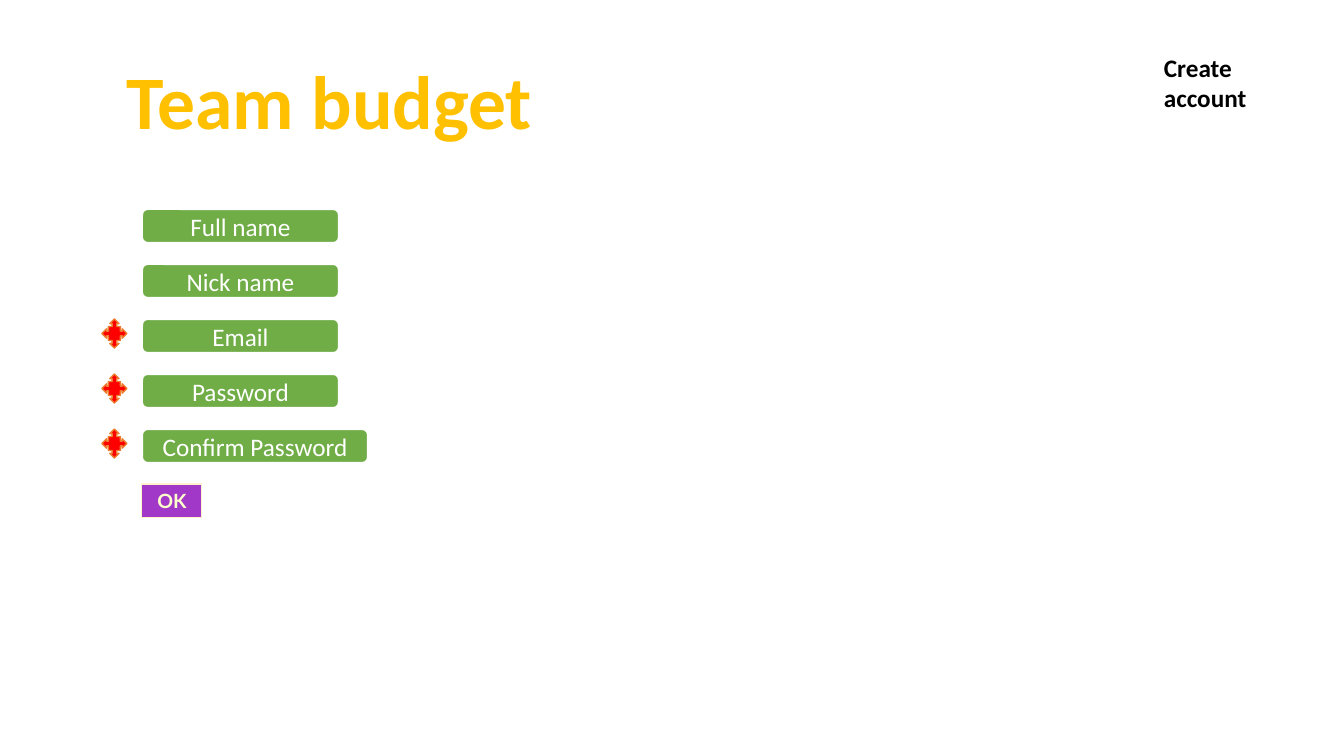
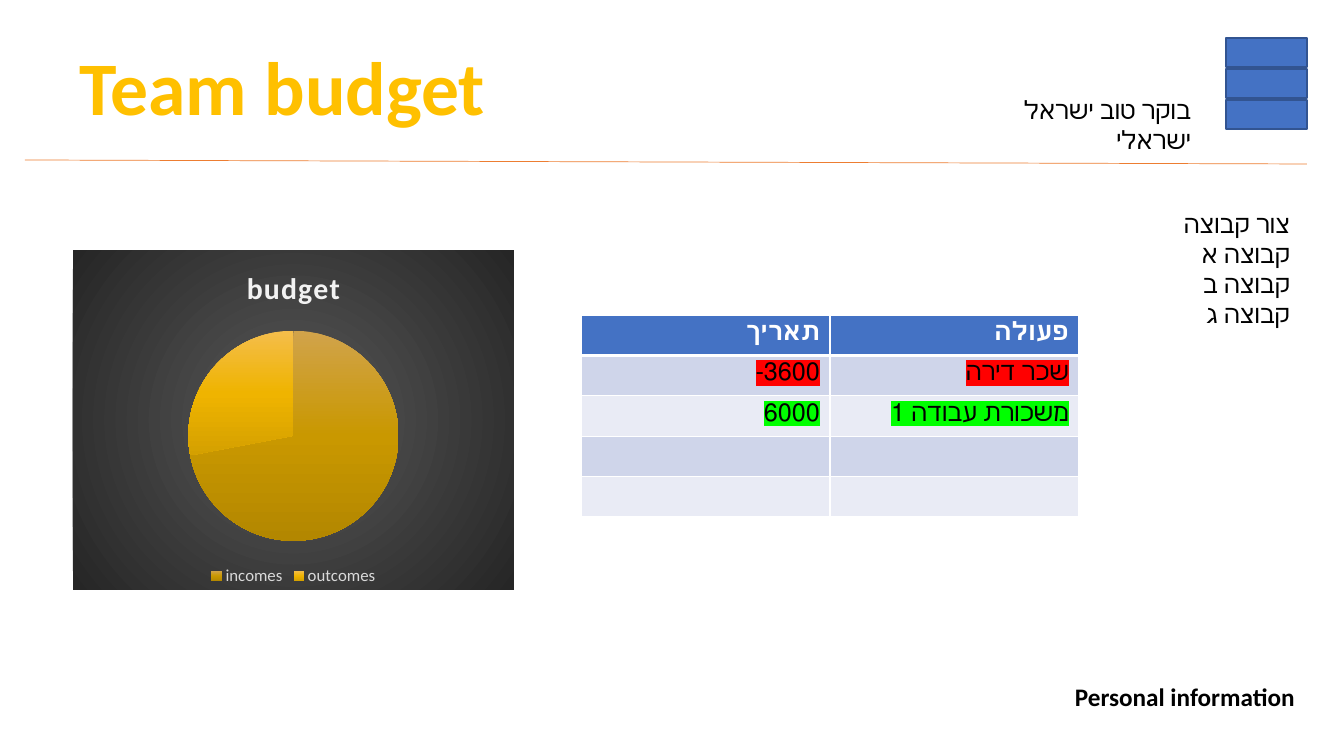
import pptx
import pptx.util
import pptx.dml.color
import pptx.chart.data
import pptx.enum.chart
import pptx.enum.shapes
import pptx.enum.text
import pptx.oxml
import pptx.oxml.ns
from dataclasses import dataclass

Pt = pptx.util.Pt
Kind = pptx.enum.shapes.MSO_SHAPE
Align = pptx.enum.text.PP_ALIGN
Anchor = pptx.enum.text.MSO_ANCHOR
Fit = pptx.enum.text.MSO_AUTO_SIZE
Legend = pptx.enum.chart.XL_LEGEND_POSITION
qn = pptx.oxml.ns.qn
NS = pptx.oxml.ns.nsdecls("a", "c")
SCALE = 914400 / 100.8


@dataclass(frozen=True)
class Theme:
    font: str = "Calibri"
    accent: str = "Lato"
    head: int = 54
    body: int = 18
    small: int = 14
    key: int = 12
    label: float = 21.3
    black: str = "000000"
    white: str = "FFFFFF"
    gold: str = "FFC000"
    green: str = "70AD47"
    red: str = "FF0000"
    lime: str = "00FF00"
    orange: str = "ED7D31"
    purple: str = "A238C8"
    cream: str = "FFF2CC"
    pale: str = "FFFFCC"
    blue: str = "4472C4"
    navy: str = "325491"
    band: tuple = ("CFD5EA", "E9EBF5")
    light: str = "F2F2F2"
    grey: str = "D9D9D9"
    dark: tuple = ("595959", "262626")
    slices: tuple = (("D1A34B", "C99800", "B38700"),
                     ("F4BD4B", "EFB400", "D4A000"))


def px(num):
    return round(num * SCALE)


def rgb(code):
    return pptx.dml.color.RGBColor.from_string(code)


def dress(obj, vals):
    for name, val in vals.items():
        setattr(obj, name, val)


def node(xml):
    return pptx.oxml.parse_xml(xml)


def blend(codes, tail):
    """Gradient fill with evenly spaced stops."""
    step = 100000 // (len(codes) - 1)
    stops = "".join(f'<a:gs pos="{i * step}"><a:srgbClr val="{code}"/></a:gs>'
                    for i, code in enumerate(codes))
    return node(f'<a:gradFill {NS}><a:gsLst>{stops}</a:gsLst>{tail}</a:gradFill>')


class Deck:
    def __init__(self, theme):
        self.theme = theme
        self.prs = pptx.Presentation()
        dress(self.prs, {"slide_width": px(1344), "slide_height": px(756)})

    def page(self):
        self.slide = self.prs.slides.add_slide(self.prs.slide_layouts[6])

    def style(self, font, size, color, bold=False, face=None):
        dress(font, {"name": face or self.theme.font, "size": Pt(size), "bold": bold})
        font.color.rgb = rgb(color)

    def put(self, frame, text, size=None, color=None, bold=False, face=None,
            align=Align.RIGHT, rtl=True, mark=None):
        for i, line in enumerate(text.split("\n")):
            para = frame.add_paragraph() if i else frame.paragraphs[0]
            para.alignment = align
            if rtl:
                para._p.get_or_add_pPr().set("rtl", "1")
            run = para.add_run()
            run.text = line
            self.style(run.font, size or self.theme.body,
                       color or self.theme.black, bold, face)
            if mark:
                run._r.rPr.find(qn("a:latin")).addprevious(node(
                    f'<a:highlight {NS}><a:srgbClr val="{mark}"/></a:highlight>'))

    def text(self, box, text, wrap=True, **form):
        frame = self.slide.shapes.add_textbox(*map(px, box)).text_frame
        dress(frame, {"word_wrap": wrap, "auto_size": Fit.SHAPE_TO_FIT_TEXT})
        self.put(frame, text, **form)

    def title(self, left, top):
        self.text((left, top, 429, 102), "Team budget", wrap=False, bold=True,
                  size=self.theme.head, color=self.theme.gold, align=Align.CENTER)

    def shape(self, kind, box, fill, line, width=1, text=None, adjust=(), **form):
        item = self.slide.shapes.add_shape(kind, *map(px, box))
        item.shadow.inherit = False
        item.fill.solid()
        item.fill.fore_color.rgb = rgb(fill)
        item.line.color.rgb = rgb(line)
        item.line.width = Pt(width)
        for i, val in enumerate(adjust):
            item.adjustments[i] = val
        if text:
            item.text_frame.vertical_anchor = Anchor.MIDDLE
            self.put(item.text_frame, text, align=Align.CENTER, **form)

    def line(self, ends, color, width):
        item = self.slide.shapes.add_connector(
            pptx.enum.shapes.MSO_CONNECTOR.STRAIGHT, *map(px, ends))
        item.line.color.rgb = rgb(color)
        item.line.width = Pt(width)
        item._element.spPr.append(node(f"<a:effectLst {NS}/>"))

    def pie(self, box, name, vals):
        t = self.theme
        data = pptx.chart.data.CategoryChartData()
        data.categories = list(vals)
        data.add_series(name, list(vals.values()))
        chart = self.slide.shapes.add_chart(
            pptx.enum.chart.XL_CHART_TYPE.PIE, *map(px, box), data).chart
        self.style(chart.font, 10, t.black)
        # Title and legend
        dress(chart, {"has_title": True, "has_legend": True})
        self.put(chart.chart_title.text_frame, name, t.label, t.light, True,
                 align=Align.CENTER, rtl=False)
        run = chart.chart_title.text_frame.paragraphs[0].runs[0]
        run._r.rPr.set("spc", "100")
        dress(chart.legend, {"position": Legend.BOTTOM, "include_in_layout": False})
        self.style(chart.legend.font, t.key, t.grey)
        # Backdrop and slices
        back = node(f"<c:spPr {NS}/>")
        back.append(blend(t.dark, '<a:path path="circle"><a:fillToRect l="50000" '
                          't="50000" r="50000" b="50000"/></a:path>'))
        back.append(node(f"<a:ln {NS}><a:noFill/></a:ln>"))
        chart._chartSpace.find(qn("c:chart")).addnext(back)
        plot = chart.plots[0]
        plot.vary_by_categories = True
        for i, codes in enumerate(t.slices):
            form = plot.series[0].points[i].format
            form.line.fill.background()
            form.line._ln.addprevious(blend(codes, '<a:lin ang="5400000" scaled="0"/>'))

    def edge(self, cell, sides):
        props = cell._tc.get_or_add_tcPr()
        for i, (side, width) in enumerate(sides.items()):
            props.insert(i, node(
                f'<a:ln{side} {NS} w="{Pt(width)}"><a:solidFill><a:srgbClr '
                f'val="{self.theme.white}"/></a:solidFill></a:ln{side}>'))

    def table(self, box, rows, marks):
        t = self.theme
        grid = self.slide.shapes.add_table(len(rows), len(rows[0]), *map(px, box)).table
        for r, row in enumerate(rows):
            for c, text in enumerate(row):
                cell = grid.cell(r, c)
                cell.fill.solid()
                cell.fill.fore_color.rgb = rgb(t.band[(r - 1) % 2] if r else t.blue)
                self.edge(cell, {"L": 1, "R": 1, "T": 3 if r == 1 else 1,
                                 "B": 1 if r else 3})
                if text:
                    self.put(cell.text_frame, text, bold=r == 0, mark=marks.get(r),
                             color=t.black if r else t.white)


t = Theme()
deck = Deck(t)

# Sign-up form
deck.page()
deck.text((1154, 47, 132, 71), "Create account", bold=True, align=Align.LEFT, rtl=False)
deck.title(115, 49)
LEFT, TOP, STEP, HIGH = 142, 209, 55, 34
FIELDS = (("Full name", 197, False), ("Nick name", 197, False), ("Email", 197, True),
          ("Password", 197, True), ("Confirm Password", 226, True))
for i, (name, wide, must) in enumerate(FIELDS):
    top = TOP + i * STEP
    deck.shape(Kind.ROUNDED_RECTANGLE, (LEFT, top, wide, HIGH), t.green, t.white, 1.5,
               name, color=t.white)
    if must:
        deck.shape(Kind.QUAD_ARROW_CALLOUT, (102, top, 25, 29), t.red, t.orange,
                   adjust=(0.185, 0.185, 0.185, 0.481))
deck.shape(Kind.RECTANGLE, (LEFT, TOP + len(FIELDS) * STEP, 60, HIGH), t.purple, t.cream,
           0.75, "OK", size=t.small, color=t.pale, bold=True, face=t.accent)

# Budget page: header
deck.page()
deck.title(68, 35)
deck.line((25, 160, 1307, 164), t.orange, 0.5)
deck.text((937, 89, 264, 40), "בוקר טוב ישראל ישראלי")
for i in range(3):
    deck.shape(Kind.RECTANGLE, (1226, 38 + 31 * i, 81, 29), t.blue, t.navy)

# Budget page: chart, table and groups
deck.pie((73, 250, 441, 340), "budget", {"incomes": 72, "outcomes": 28})
deck.table((581, 315, 498, 202),
           (("תאריך", "פעולה"), ("3600-", "שכר דירה"), ("6000", "משכורת עבודה 1"),
            ("", ""), ("", "")), {1: t.red, 2: t.lime})
deck.text((1156, 203, 144, 132), "צור קבוצה\nקבוצה א\nקבוצה ב\nקבוצה ג")
deck.text((1065, 676, 249, 40), "Personal information", bold=True,
          align=Align.LEFT, rtl=False)

deck.prs.save("out.pptx")
